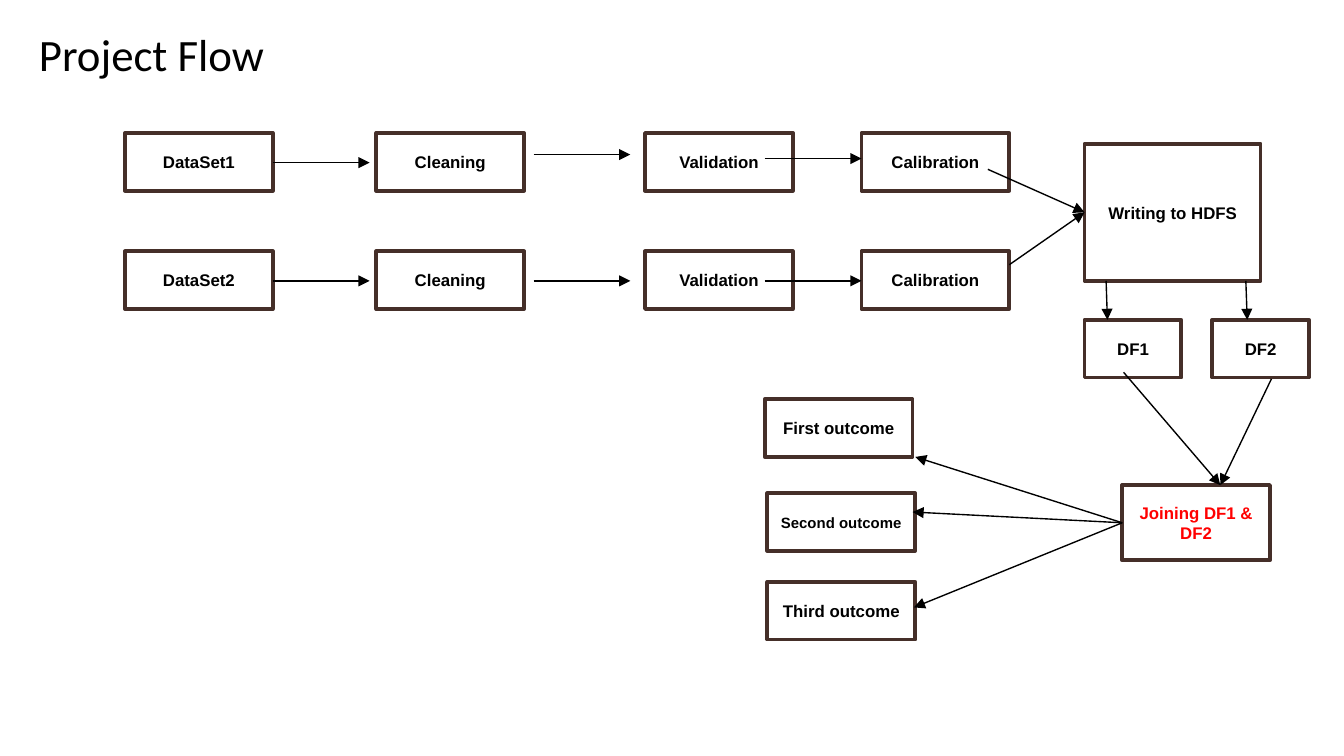
import pptx
import pptx.util
import pptx.dml.color
import pptx.enum.shapes
import pptx.enum.text
import pptx.oxml
import pptx.oxml.ns

SLIDE_W = 10
SLIDE_H = SLIDE_W * 9 / 16
INK, BORDER, PAPER, ACCENT = "000000", "452F29", "FFFFFF", "FF0000"
BOX_W, BOX_H = 1.1, 0.43

# Grid of the two dataset pipelines
COLUMNS = [0.93, 2.8, 4.8, 6.41]
ROWS = [0.99, 1.87]
STEPS = ["Cleaning", "Validation", "Calibration"]
ARROW_LEFTS, ARROW_W = [2.03, 3.97, 5.69], 0.72
ARROW_YS = [[1.21, 1.15, 1.18], [2.09, 2.09, 2.09]]

# Storage, data frames and join
HDFS_LEFT, HDFS_TOP, HDFS_W, HDFS_H = 8.07, 1.07, 1.31, 1.02
FRAME_LEFTS, FRAME_TOP, FRAME_W = [HDFS_LEFT, 9.02], 2.38, 0.72
JOIN_LEFT, JOIN_TOP, JOIN_H = 8.35, 3.61, 0.56

# Outcome: text, left, top, size, arrow end
OUTCOMES = [
    ("First outcome", 5.69, 2.97, 9, (6.81, 3.4)),
    ("Second outcome", 5.71, 3.67, 8, (6.79, 3.81)),
    ("Third outcome", 5.71, 4.33, 9, (6.8, 4.52)),
]


def color(hex_code):
    return pptx.dml.color.RGBColor.from_string(hex_code)


def inches(*lengths):
    return [pptx.util.Inches(n) for n in lengths]


def apply(obj, values):
    for name, value in values.items():
        setattr(obj, name, value)


def write(tf, text, align, anchor, hex_code, **font):
    apply(tf, {"word_wrap": True, "vertical_anchor": anchor})
    p = tf.paragraphs[0]
    p.alignment = align
    r = p.add_run()
    r.text = text
    apply(r.font, font)
    r.font.color.rgb = color(hex_code)


def add_title(slide, text):
    sp = slide.shapes.title
    left, top, width, height = inches(0.11, 0.15, 2.18, 0.5)
    apply(sp, {"left": left, "top": top, "width": width, "height": height})
    tf = sp.text_frame
    tf.auto_size = pptx.enum.text.MSO_AUTO_SIZE.NONE
    tf.margin_left = pptx.util.Inches(0.18)
    write(tf, text, pptx.enum.text.PP_ALIGN.LEFT, pptx.enum.text.MSO_ANCHOR.TOP,
          INK, name="Calibri", size=pptx.util.Pt(24))


def add_box(slide, text, left, top, width=BOX_W, height=BOX_H, size=9, ink=INK):
    sp = slide.shapes.add_shape(pptx.enum.shapes.MSO_SHAPE.RECTANGLE,
                                *inches(left, top, width, height))
    sp.shadow.inherit = False
    sp.fill.solid()
    sp.fill.fore_color.rgb = color(PAPER)
    sp.line.color.rgb = color(BORDER)
    sp.line.width = pptx.util.Pt(2)
    write(sp.text_frame, text, pptx.enum.text.PP_ALIGN.CENTER,
          pptx.enum.text.MSO_ANCHOR.MIDDLE, ink,
          name="Arial", size=pptx.util.Pt(size), bold=True)


def add_arrow(slide, start, end):
    line = slide.shapes.add_connector(pptx.enum.shapes.MSO_CONNECTOR.STRAIGHT,
                                      *inches(*start, *end))
    line.line.color.rgb = color(INK)
    line.line.width = pptx.util.Pt(0.75)
    head = pptx.oxml.parse_xml(
        f'<a:tailEnd {pptx.oxml.ns.nsdecls("a")} type="triangle"/>')
    line.line._get_or_add_ln().append(head)
    line._element.spPr.append(
        pptx.oxml.parse_xml(f'<a:effectLst {pptx.oxml.ns.nsdecls("a")}/>'))


def add_pipelines(slide):
    for number, (top, ys) in enumerate(zip(ROWS, ARROW_YS), 1):
        for text, left in zip([f"DataSet{number}"] + STEPS, COLUMNS):
            add_box(slide, text, left, top)
        for left, y in zip(ARROW_LEFTS, ys):
            add_arrow(slide, (left, y), (left + ARROW_W, y))


def add_storage(slide):
    add_box(slide, "Writing to HDFS", HDFS_LEFT, HDFS_TOP, HDFS_W, HDFS_H)
    for start in [(7.35, 1.26), (7.51, 1.97)]:
        add_arrow(slide, start, (HDFS_LEFT, HDFS_TOP + HDFS_H / 2))


def add_join(slide):
    for number, left in enumerate(FRAME_LEFTS, 1):
        add_box(slide, f"DF{number}", left, FRAME_TOP, FRAME_W)
    for x in [8.23, 9.27]:
        add_arrow(slide, (x, HDFS_TOP + HDFS_H), (x + 0.01, FRAME_TOP))
    add_box(slide, "Joining DF1 & DF2", JOIN_LEFT, JOIN_TOP, height=JOIN_H, ink=ACCENT)
    for start in [(8.36, 2.77), (9.46, 2.82)]:
        add_arrow(slide, start, (9.08, JOIN_TOP))


def add_outcomes(slide):
    for text, left, top, size, end in OUTCOMES:
        add_box(slide, text, left, top, size=size)
        add_arrow(slide, (JOIN_LEFT, JOIN_TOP + JOIN_H / 2), end)


def main():
    prs = pptx.Presentation()
    prs.slide_width, prs.slide_height = inches(SLIDE_W, SLIDE_H)
    slide = prs.slides.add_slide(prs.slide_layouts[5])
    add_title(slide, "Project Flow")
    add_pipelines(slide)
    add_storage(slide)
    add_join(slide)
    add_outcomes(slide)
    prs.save("out.pptx")


if __name__ == "__main__":
    main()
